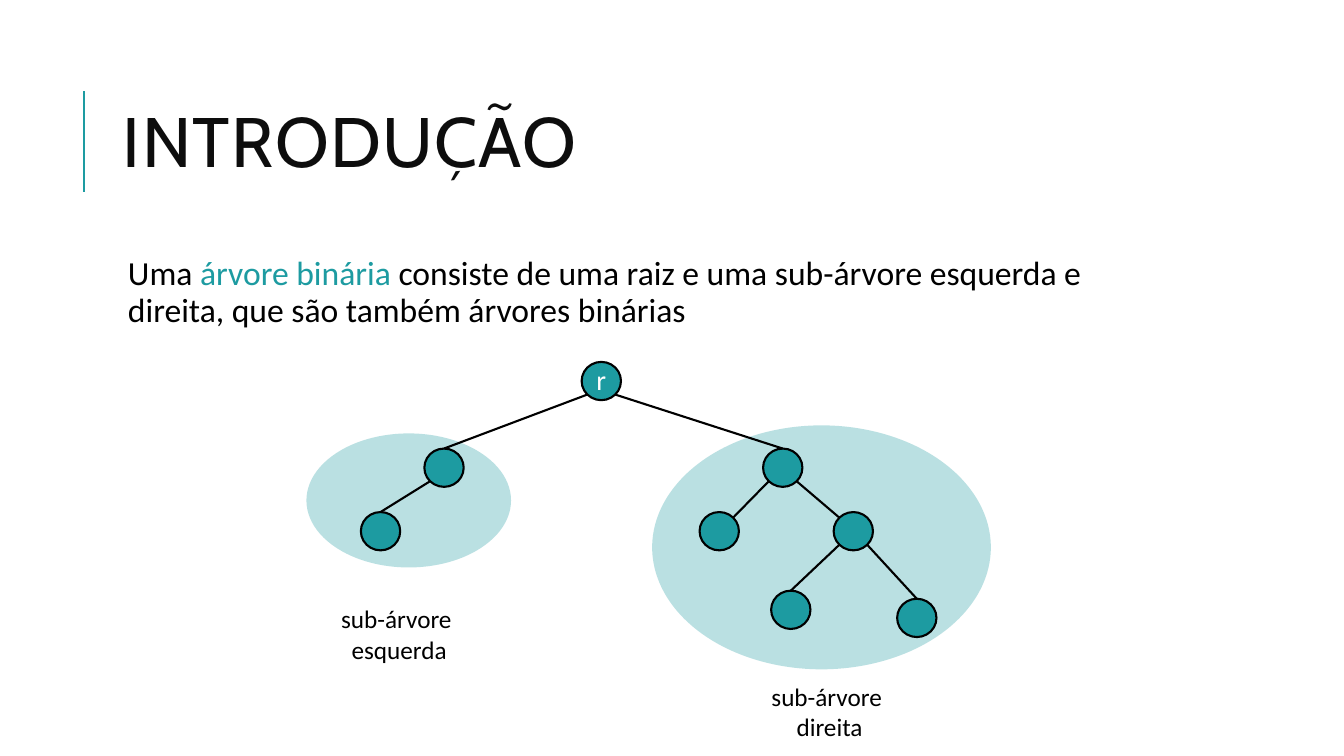
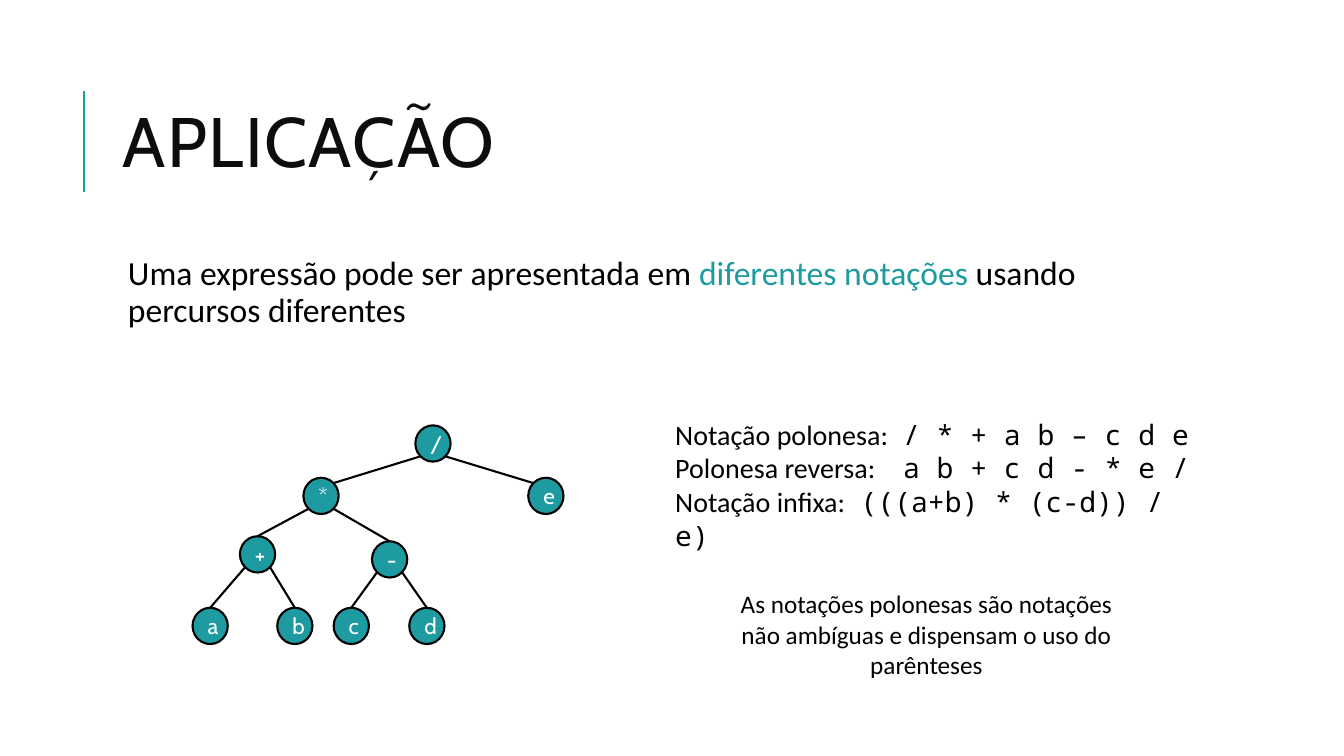
"""Build two slides on binary trees and their use for expressions."""
import pptx
import pptx.util
import pptx.dml.color
import pptx.enum.shapes
import pptx.enum.text
import pptx.oxml.ns
import lxml.etree

RGB = pptx.dml.color.RGBColor
TEAL, INK = RGB(0x1D, 0x9B, 0xA1), RGB(0x0D, 0x0D, 0x0D)
BLACK, WHITE = RGB(0, 0, 0), RGB(255, 255, 255)
SANS, HEAD, MONO = "Calibri", "Cabin", "Noto Sans Mono"
LEFT = pptx.enum.text.PP_ALIGN.LEFT
MID = pptx.enum.text.PP_ALIGN.CENTER
OVAL = pptx.enum.shapes.MSO_SHAPE.OVAL
STRAIGHT = pptx.enum.shapes.MSO_CONNECTOR.STRAIGHT
TOP = pptx.enum.text.MSO_ANCHOR.TOP
MIDDLE = pptx.enum.text.MSO_ANCHOR.MIDDLE
CELL = 0.1
DIAG = 0.5 ** 0.5

TITLE = (11.2, 6.4, 106.3, 16.4)
BODY = (11.2, 25, 106.3, 44)
RULE = (8.3, 19, 8.3, 9)

INTRO = [
    ("Uma ", {}),
    ("árvore binária ", {"color": TEAL}),
    ("consiste de uma raiz e uma sub-árvore esquerda e direita, "
     "que são também árvores binárias", {}),
]
USES = [
    ("Uma expressão pode ser apresentada em ", {}),
    ("diferentes notações ", {"color": TEAL}),
    ("usando percursos diferentes", {}),
]
ZONES = [(64.7, 42.2, 33.6, 24.2), (30.4, 43, 20.3, 13.3)]
LABELS = [
    ((32.7, 59.4, 13.8, 7.1), ["sub-árvore ", "esquerda"]),
    ((75.5, 67.1, 13.6, 7.1), ["sub-árvore ", "direita"]),
]
PARTS = {
    "root": (59.65, 37.8, "r", None, None),
    "right": (77.65, 46.4, "", "root", "top"),
    "left": (44.05, 46.4, "", "root", "top"),
    "left leaf": (37.75, 52.7, "", "left", "top"),
    "right leaf": (71.35, 52.7, "", "right", "side"),
    "right fork": (84.65, 52.7, "", "right", "side"),
    "fork left": (78.45, 60.5, "", "right fork", "top"),
    "fork right": (90.95, 61.3, "", "right fork", "top"),
}
TERMS = {
    "over": (42.95, 44, "/", None, None),
    "e": (54.15, 49.2, "e", "over", "side"),
    "times": (31.85, 49.2, "*", "over", "side"),
    "plus": (25.55, 55, "+", "times", "top"),
    "minus": (38.65, 55.5, "-", "times", "top"),
    "a": (20.85, 62.1, "a", "plus", "top"),
    "b": (29.25, 62.1, "b", "plus", "top"),
    "c": (34.85, 62.1, "c", "minus", "top"),
    "d": (42.35, 62.1, "d", "minus", "top"),
}
FORMS = [
    ("Notação polonesa:", "/ * + a b – c d e", 22.6),
    ("Polonesa reversa:", "a b + c d - * e /", 22.6),
    ("Notação infixa:", "(((a+b) * (c-d)) / e)", 18.4),
]
NOTE = ("As notações polonesas são notações não ambíguas "
        "e dispensam o uso do parênteses")


def span(*cells):
    """Turn grid cells into lengths."""
    return [pptx.util.Inches(cell * CELL) for cell in cells]


def add_tag(host, tag, **keys):
    """Append a drawing element to a host."""
    name = pptx.oxml.ns.qn("a:" + tag)
    return lxml.etree.SubElement(host, name, **keys)


def write(shape, paras, size=18, font=SANS, color=BLACK, align=LEFT,
          anchor=TOP, pad=(1, 0.5, 1, 0.5), wrap=True, line=None,
          before=None, after=None, track=None, tabs=()):
    """Fill a shape with paragraphs, each a string or a list of runs."""
    frame = shape.text_frame
    frame.word_wrap, frame.vertical_anchor = wrap, anchor
    (frame.margin_left, frame.margin_top,
     frame.margin_right, frame.margin_bottom) = span(*pad)
    for at, runs in enumerate(paras):
        para = frame.add_paragraph() if at else frame.paragraphs[0]
        para.alignment, para.line_spacing = align, line
        para.space_before, para.space_after = before, after
        if tabs:
            stops = add_tag(para._p.get_or_add_pPr(), "tabLst")
            add_tag(stops, "tab", pos=str(span(tabs[at])[0]), algn="l")
        for text, look in [(runs, {})] if isinstance(runs, str) else runs:
            run = para.add_run()
            run.text = text
            run.font.size = pptx.util.Pt(size)
            run.font.name = look.get("font", font)
            run.font.color.rgb = look.get("color", color)
            if track:
                run._r.get_or_add_rPr().set("spc", str(track))


def add_text(slide, box, paras, **look):
    """Add a text box."""
    write(slide.shapes.add_textbox(*span(*box)), paras, **look)


def add_line(slide, ends, color=BLACK):
    """Add a straight line."""
    line = slide.shapes.add_connector(STRAIGHT, *span(*ends))
    line.line.color.rgb, line.line.width = color, pptx.util.Pt(1.5)
    add_tag(line._element.spPr, "effectLst")


def add_oval(slide, box, alpha=None):
    """Add a teal oval, outlined unless it is see-through."""
    oval = slide.shapes.add_shape(OVAL, *span(*box))
    oval.shadow.inherit = False
    oval.fill.solid()
    oval.fill.fore_color.rgb = TEAL
    if alpha:
        oval.line.fill.background()
        tint = oval._element.spPr.find(".//" + pptx.oxml.ns.qn("a:srgbClr"))
        add_tag(tint, "alpha", val=str(alpha * 1000))
    else:
        oval.line.color.rgb = BLACK
        oval.line.width = pptx.util.Pt(1.5)
    return oval


def add_tree(slide, nodes, wide, high, **look):
    """Draw nodes about their centres and join each to its parent."""
    for x, y, text, parent, end in nodes.values():
        oval = add_oval(slide, (x - wide / 2, y - high / 2, wide, high))
        if text:
            write(oval, [text], color=WHITE, align=MID, anchor=MIDDLE, **look)
        if parent:
            px, py = nodes[parent][:2]
            turn = 1 if x > px else -1
            dx, dy = wide / 2 * DIAG, high / 2 * DIAG
            goal = ((x, y - high / 2) if end == "top"
                    else (x - turn * dx, y - dy))
            add_line(slide, (px + turn * dx, py + dy, *goal))


def add_slide(deck, title, body):
    """Add a slide with the shared rule, title and lead text."""
    slide = deck.slides.add_slide(deck.slide_layouts[5])
    add_line(slide, RULE, TEAL)
    head = slide.shapes.title
    head.left, head.top, head.width, head.height = span(*TITLE)
    write(head, [title], size=50, font=HEAD, color=INK, anchor=MIDDLE,
          line=0.8, track=100)
    add_text(slide, BODY, [body], size=24, pad=(1.5, 0.5, 0.5, 0.5), line=0.9,
             before=pptx.util.Pt(12), after=pptx.util.Pt(2))
    return slide


deck = pptx.Presentation()
deck.slide_width, deck.slide_height = span(133.33, 75)

slide = add_slide(deck, "INTRODUÇÃO", INTRO)
for zone in ZONES:
    add_oval(slide, zone, alpha=30)
add_tree(slide, PARTS, 3.9, 3.8, size=20, pad=(0, 0, 0, 0.4))
for box, lines in LABELS:
    add_text(slide, box, lines, align=MID, wrap=False)

slide = add_slide(deck, "APLICAÇÃO", USES)
add_tree(slide, TERMS, 3.5, 3.6, size=16, font=HEAD)
add_text(slide, (66, 40.9, 54.1, 11.1),
         [[(name + "\t", {}), (form, {"font": MONO})]
          for name, form, stop in FORMS],
         size=20, tabs=[stop for name, form, stop in FORMS])
add_text(slide, (71.4, 57.9, 41, 10.1), [NOTE], align=MID)

deck.save("out.pptx")
